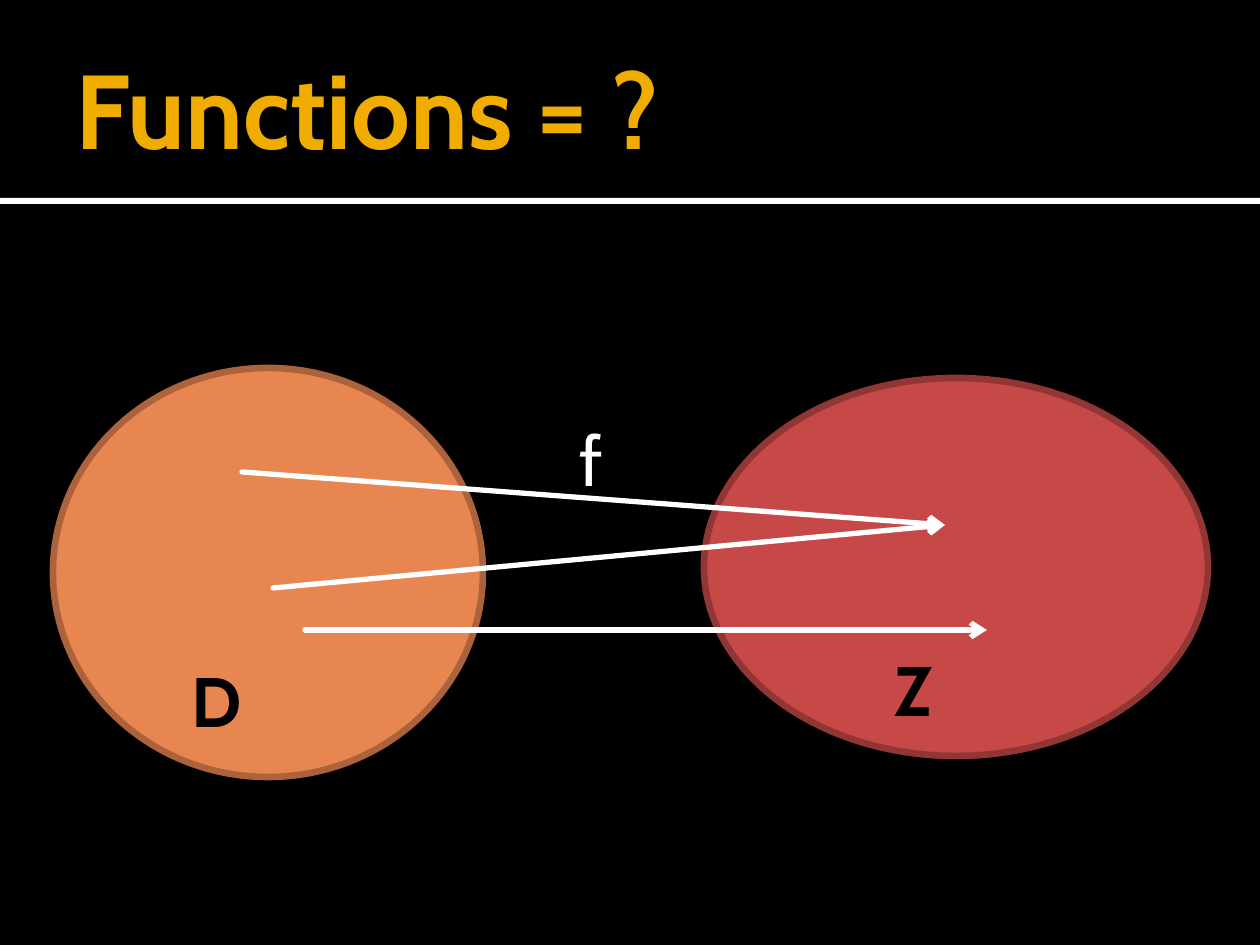
from pptx import Presentation
from pptx.dml.color import RGBColor
from pptx.enum.shapes import MSO_CONNECTOR, MSO_SHAPE
from pptx.enum.text import MSO_ANCHOR, MSO_AUTO_SIZE, PP_ALIGN
from pptx.oxml.ns import qn
from pptx.util import Pt
from lxml.etree import SubElement

PIXEL = 914400 // 126
FONT = "Cabin"
BLACK = RGBColor(0x00, 0x00, 0x00)
WHITE = RGBColor(0xFF, 0xFF, 0xFF)
GOLD = RGBColor(0xF0, 0xAD, 0x00)
ORANGE = RGBColor(0xE8, 0x86, 0x51)
BROWN = RGBColor(0xAC, 0x63, 0x3C)
RED = RGBColor(0xC6, 0x48, 0x47)
MAROON = RGBColor(0x92, 0x35, 0x35)

TITLE = ("Functions = ?", (63, 21, 1134, 173))
RULE = (0, 198, 1260, 6)
SETS = [  # bounds, fill, outline
    ((53, 368, 430, 409), ORANGE, BROWN),
    ((704, 378, 504, 378), RED, MAROON),
]
LABELS = [  # text, left, top, colour, bold
    ("D", 179, 651, BLACK, True),
    ("Z", 882, 640, BLACK, True),
    ("f", 567, 410, WHITE, False),
]
LABEL_SIZE = (252, 97)
MAPPINGS = [  # start, end
    ((242, 472), (945, 525)),
    ((305, 630), (987, 630)),
    ((273, 588), (945, 525)),
]


def emu(pixels):
    """Turn a sequence of pixel lengths into EMU."""
    return [value * PIXEL for value in pixels]


def write(frame, text, size, color, bold):
    """Put one formatted line of text into a frame."""
    para = frame.paragraphs[0]
    para.alignment = PP_ALIGN.LEFT
    span = para.add_run()
    span.text = text
    span.font.color.rgb = color
    for name, value in {"name": FONT, "size": Pt(size), "bold": bold}.items():
        setattr(span.font, name, value)


def add_filled(page, kind, bounds, fill, outline=None):
    """Add a flat preset shape, outlined if a colour is given."""
    shape = page.shapes.add_shape(kind, *emu(bounds))
    shape.shadow.inherit = False
    shape.fill.solid()
    shape.fill.fore_color.rgb = fill
    if outline is None:
        shape.line.fill.background()
    else:
        shape.line.color.rgb = outline
        shape.line.width = Pt(3.78)


def add_label(page, text, left, top, color, bold):
    """Add a wrapped text box that grows with its text."""
    box = page.shapes.add_textbox(*emu((left, top, *LABEL_SIZE)))
    box.text_frame.word_wrap = True
    box.text_frame.auto_size = MSO_AUTO_SIZE.SHAPE_TO_FIT_TEXT
    write(box.text_frame, text, 40, color, bold)


def add_arrow(page, start, end):
    """Add a round-capped white arrow."""
    arrow = page.shapes.add_connector(MSO_CONNECTOR.STRAIGHT, *emu(start + end))
    arrow.line.color.rgb = WHITE
    arrow.line.width = Pt(3)
    line = arrow.line._get_or_add_ln()
    line.set("cap", "rnd")
    SubElement(line, qn("a:tailEnd"), type="arrow")
    SubElement(arrow._element.spPr, qn("a:effectLst"))


def add_title(page, text, bounds):
    """Place and format the title placeholder."""
    title = page.shapes.title
    for name, value in zip(("left", "top", "width", "height"), emu(bounds)):
        setattr(title, name, value)
    frame = title.text_frame
    margins = {"margin_left": Pt(7.2), "margin_right": Pt(3.6),
               "margin_top": Pt(3.6), "margin_bottom": Pt(3.6)}
    for name, value in margins.items():
        setattr(frame, name, value)
    frame.vertical_anchor = MSO_ANCHOR.MIDDLE
    frame.word_wrap = True
    write(frame, text, 60, GOLD, True)


deck = Presentation()
deck.slide_width, deck.slide_height = emu((1260, 945))
page = deck.slides.add_slide(deck.slide_layouts[5])
page.background.fill.solid()
page.background.fill.fore_color.rgb = BLACK

add_title(page, *TITLE)
add_filled(page, MSO_SHAPE.RECTANGLE, RULE, WHITE)
for bounds, fill, outline in SETS:
    add_filled(page, MSO_SHAPE.OVAL, bounds, fill, outline)
for start, end in MAPPINGS:
    add_arrow(page, start, end)
for label in LABELS:
    add_label(page, *label)

deck.save("out.pptx")
